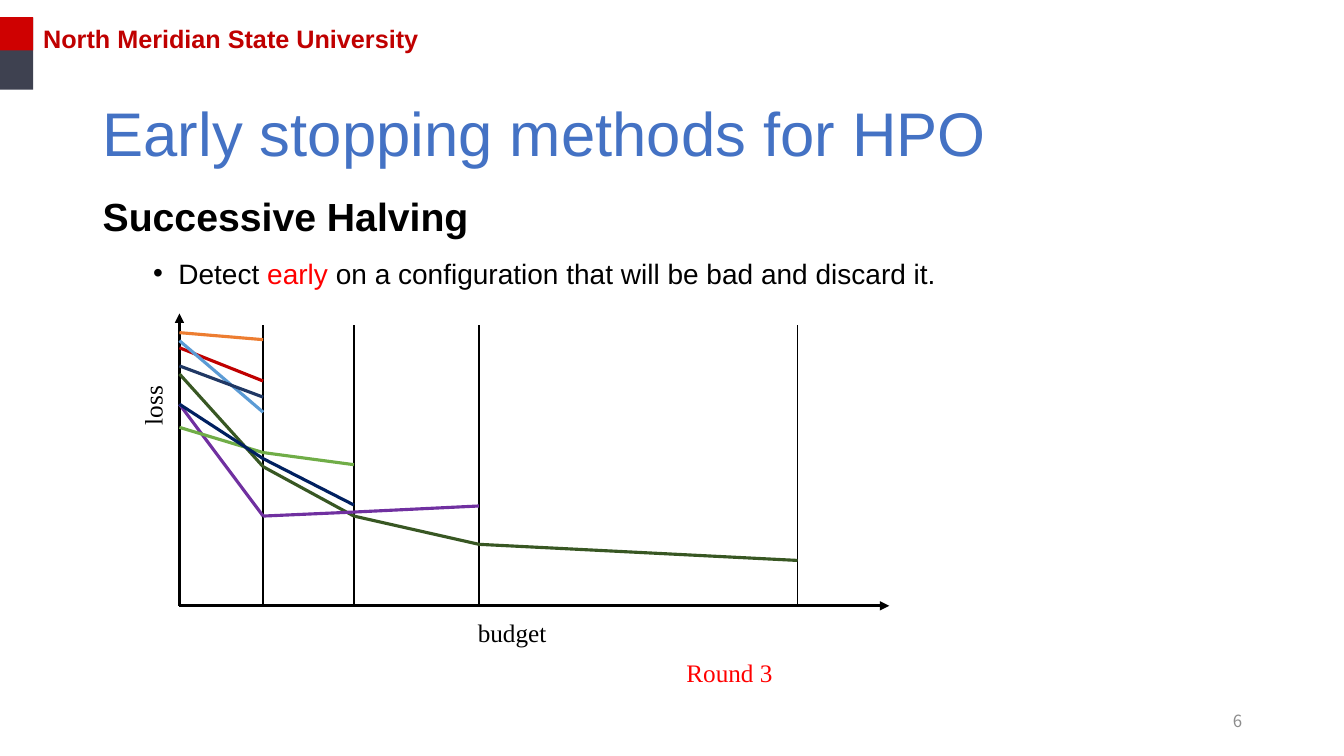
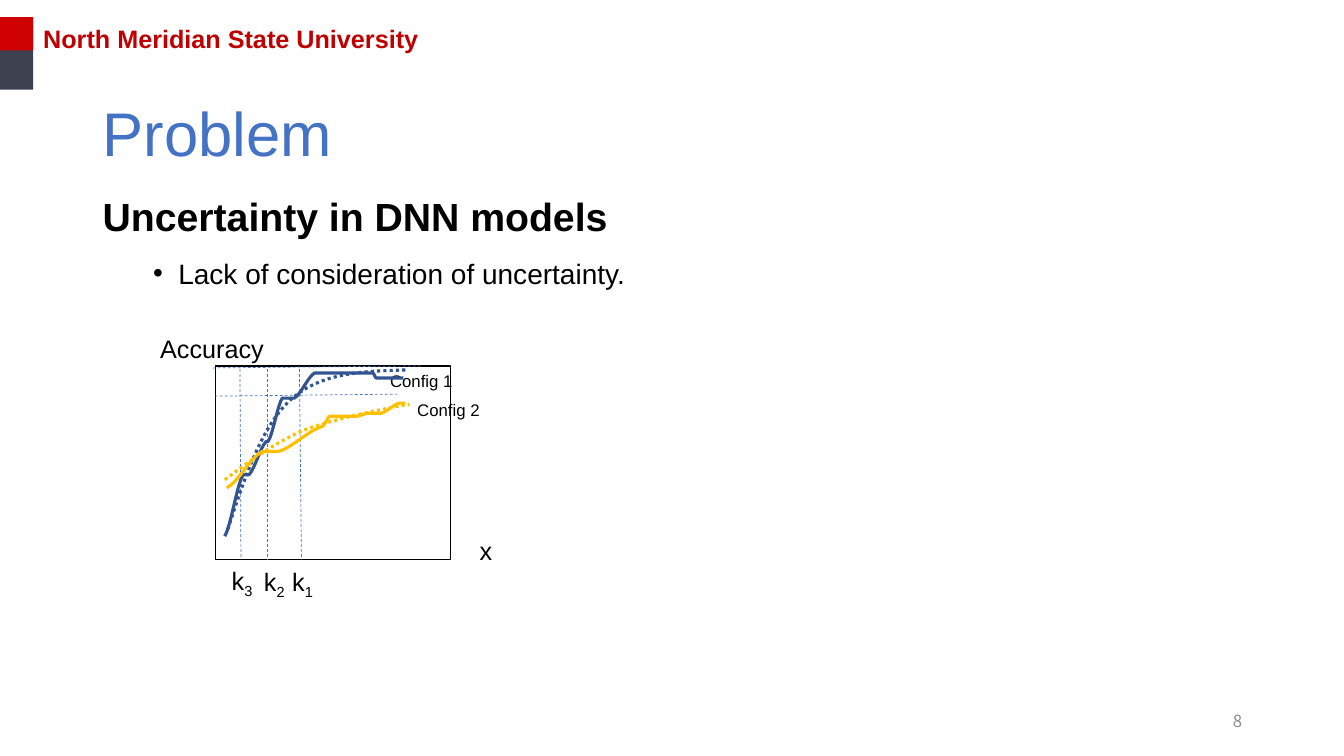
from dataclasses import dataclass, field
from itertools import pairwise
from typing import NamedTuple

from lxml.etree import SubElement
from pptx import Presentation
from pptx.chart.data import CategoryChartData
from pptx.dml.color import RGBColor
from pptx.enum.chart import XL_CHART_TYPE
from pptx.enum.dml import MSO_LINE
from pptx.enum.shapes import MSO_CONNECTOR, MSO_SHAPE
from pptx.enum.text import MSO_ANCHOR, MSO_AUTO_SIZE, PP_ALIGN
from pptx.oxml.ns import qn
from pptx.slide import Slide
from pptx.util import Inches, Pt

Point = tuple[float, float]
Frame = tuple[float, float, float, float]

COLORS = {
    "title": "4472C4", "black": "000000", "white": "FFFFFF", "number": "8C8C8C",
    "slate": "3E4150", "band": "CF0101", "header": "C00000", "alert": "FF0000",
    "forest": "385723", "purple": "7030A0", "green": "70AD47", "navy": "002060",
    "orange": "ED7D31", "crimson": "C00000", "sky": "5B9BD5", "midnight": "203864",
    "guide": "4472C4", "config1": "325491", "config2": "FFC000",
}
TITLE = {"name": "Arial", "size": Pt(44)}
HEADING = {"name": "Arial", "size": Pt(28), "bold": True}
BULLET = {"name": "Arial", "size": Pt(20), "bold": False}
HEADER = {"name": "Arial", "size": Pt(18), "bold": True}
LABEL = {"name": "Arial", "size": Pt(18)}
SMALL = {"name": "Arial", "size": Pt(12)}
SERIF = {"name": "Times New Roman", "size": Pt(18)}
NUMBER = {"name": "Noto Sans CJK SC", "size": Pt(12)}
CURVE_WIDTH = 2.25


@dataclass
class Span:
    text: str
    font: dict
    color: str = "black"
    subscript: bool = False


@dataclass
class Para:
    spans: list[Span]
    layout: dict = field(default_factory=dict)
    bulleted: bool = False


class Trajectory(NamedTuple):
    color: str
    losses: list[float]


class Plateau(NamedTuple):
    start: float
    end: float
    height: float


class Config(NamedTuple):
    name: str
    color: str
    label_corner: Point
    fit_knots: list[Point]
    plateaus: list[Plateau]


class Checkpoint(NamedTuple):
    digit: str
    top: float
    bottom: float
    label_corner: Point


ORIGIN = (1.78, 6.01)
LOSS_AXIS_END = (1.78, 3.11)
BUDGET_AXIS_END = (8.82, 6.01)
ROUND_TOP = 3.22
ROUND_BUDGETS = [2.61, 3.51, 4.75, 7.91]
TRAJECTORIES = [
    Trajectory("forest", [3.71, 4.63, 5.12, 5.4, 5.56]),
    Trajectory("purple", [4.01, 5.12, 5.08, 5.02]),
    Trajectory("green", [4.24, 4.49, 4.61]),
    Trajectory("navy", [4.01, 4.55, 5.01]),
    Trajectory("orange", [3.3, 3.37]),
    Trajectory("crimson", [3.45, 3.78]),
    Trajectory("sky", [3.38, 4.09]),
    Trajectory("midnight", [3.63, 3.94]),
]

GUIDE_TOP, GUIDE_BOTTOM = 3.66, 5.55
ACCURACY_LEVELS = [((2.13, 3.93), (3.95, 3.91)), ((2.11, 3.65), (4.19, 3.63))]
CHECKPOINTS = [
    Checkpoint("1", 2.97, 2.99, (2.8, 5.57)),
    Checkpoint("2", 2.65, 2.65, (2.52, 5.57)),
    Checkpoint("3", 2.38, 2.39, (2.2, 5.56)),
]
CONFIGS = [
    Config("Config 1", "config1", (3.77, 3.63),
           [(2.26, 5.25), (2.43, 4.73), (2.6, 4.21), (2.9, 3.95),
            (3.2, 3.69), (3.63, 3.68), (4.05, 3.67)],
           [Plateau(2.23, 2.23, 5.32), Plateau(2.41, 2.47, 4.71), Plateau(2.64, 2.66, 4.38),
            Plateau(2.8, 2.92, 3.95), Plateau(3.12, 3.7, 3.7), Plateau(3.73, 4, 3.75)]),
    Config("Config 2", "config2", (4.04, 3.92),
           [(2.23, 4.76), (2.47, 4.58), (2.71, 4.4), (3.01, 4.27),
            (3.32, 4.15), (3.84, 4.05), (4.06, 4.01)],
           [Plateau(2.25, 2.25, 4.84), Plateau(2.6, 2.76, 4.48), Plateau(3.2, 3.2, 4.23),
            Plateau(3.27, 3.54, 4.13), Plateau(3.65, 3.78, 4.1), Plateau(3.96, 4.02, 4)]),
]


def rgb(color: str) -> RGBColor:
    return RGBColor.from_string(COLORS[color])


def fitted_points(knots: list[Point], steps: int = 20) -> list[Point]:
    points = [knots[0]]
    for first in range(0, len(knots) - 1, 3):
        controls = knots[first:first + 4]
        for step in range(1, steps + 1):
            t = step / steps
            u = 1 - t
            weights = (u**3, 3 * u * u * t, 3 * u * t * t, t**3)
            x, y = (sum(w * p for w, p in zip(weights, axis)) for axis in zip(*controls))
            points.append((x, y))
    return points


def measured_points(plateaus: list[Plateau], steps: int = 8) -> list[Point]:
    points = [(plateaus[0].start, plateaus[0].height)]
    for low, high in pairwise(plateaus):
        for step in range(steps + 1):
            t = step / steps
            eased = (t + t * t * (3 - 2 * t)) / 2
            points.append((low.end + (high.start - low.end) * t,
                           low.height + (high.height - low.height) * eased))
    return points + [(plateaus[-1].end, plateaus[-1].height)]


def add_text(page: Slide, frame: Frame, paras: list[Para], wrap: bool = True,
             grow: bool = False, middle: bool = False, rotation: float = 0) -> None:
    box = page.shapes.add_textbox(*map(Inches, frame))
    box.rotation = rotation
    text_format = {
        "word_wrap": wrap,
        "auto_size": MSO_AUTO_SIZE.SHAPE_TO_FIT_TEXT if grow else MSO_AUTO_SIZE.NONE,
        "vertical_anchor": MSO_ANCHOR.MIDDLE if middle else MSO_ANCHOR.TOP,
    }
    for name, value in text_format.items():
        setattr(box.text_frame, name, value)
    for index, item in enumerate(paras):
        para = box.text_frame.add_paragraph() if index else box.text_frame.paragraphs[0]
        for name, value in item.layout.items():
            setattr(para, name, value)
        if item.bulleted:
            properties = para._p.get_or_add_pPr()
            properties.set("marL", str(Inches(0.75)))
            properties.set("indent", str(Inches(-0.25)))
            SubElement(properties, qn("a:buFont"), typeface="Arial")
            SubElement(properties, qn("a:buChar"), char="•")
        for span in item.spans:
            run = para.add_run()
            run.text = span.text
            for name, value in span.font.items():
                setattr(run.font, name, value)
            run.font.color.rgb = rgb(span.color)
            if span.subscript:
                run._r.get_or_add_rPr().set("baseline", "-25000")


def add_label(page: Slide, frame: Frame, *spans: Span, rotation: float = 0) -> None:
    add_text(page, frame, [Para(list(spans))], wrap=False, grow=True, rotation=rotation)


def add_line(page: Slide, start: Point, end: Point, color: str, width: float,
             dashed: bool = False, arrow: bool = False) -> None:
    connector = page.shapes.add_connector(
        MSO_CONNECTOR.STRAIGHT, *map(Inches, (*start, *end)))
    connector.line.color.rgb = rgb(color)
    connector.line.width = Pt(width)
    if dashed:
        connector.line.dash_style = MSO_LINE.DASH
    properties = connector.element.spPr
    if arrow:
        SubElement(properties.find(qn("a:ln")), qn("a:tailEnd"), type="triangle")
    SubElement(properties, qn("a:effectLst"))


def add_curve(page: Slide, points: list[Point], color: str, dotted: bool = False) -> None:
    start, *rest = [(Inches(x), Inches(y)) for x, y in points]
    builder = page.shapes.build_freeform(*start)
    builder.add_line_segments(rest, close=False)
    shape = builder.convert_to_shape()
    shape.shadow.inherit = False
    shape.fill.background()
    shape.line.color.rgb = rgb(color)
    shape.line.width = Pt(CURVE_WIDTH)
    if dotted:
        shape.line.dash_style = MSO_LINE.ROUND_DOT


def add_band(page: Slide, frame: Frame, color: str) -> None:
    band = page.shapes.add_shape(MSO_SHAPE.RECTANGLE, *map(Inches, frame))
    band.shadow.inherit = False
    band.fill.solid()
    band.fill.fore_color.rgb = rgb(color)
    band.line.fill.background()


def add_page(deck: Presentation, title: str, heading: str,
             bullet: list[Span], number: str) -> Slide:
    page = deck.slides.add_slide(deck.slide_layouts[6])
    add_text(page, (0.92, 0.63, 11.5, 1.45),
             [Para([Span(title, TITLE, "title")], {"line_spacing": 0.9})], middle=True)
    add_text(page, (0.92, 1.63, 9.41, 4.76), [
        Para([Span(heading, HEADING)], {"line_spacing": 1.5, "space_before": Pt(10)}),
        Para(bullet, {"level": 1, "line_spacing": Pt(30.8), "space_before": Pt(5)}, True),
    ])
    add_text(page, (9.42, 6.95, 3, 0.4),
             [Para([Span(number, NUMBER, "number")], {"alignment": PP_ALIGN.RIGHT})], middle=True)
    add_band(page, (0, 0.18, 0.33, 0.71), "slate")
    add_band(page, (0, 0.17, 0.33, 0.33), "band")
    add_text(page, (0.33, 0.18, 4.67, 0.4),
             [Para([Span("North Meridian State University", HEADER, "header")])], grow=True)
    return page


def add_outline(parent, width: float, color: str):
    properties = SubElement(parent, qn("c:spPr"))
    SubElement(properties, qn("a:noFill"))
    line = SubElement(properties, qn("a:ln"), w=str(Pt(width)))
    SubElement(SubElement(line, qn("a:solidFill")), qn("a:srgbClr"), val=COLORS[color])
    return properties


def add_accuracy_chart(page: Slide) -> None:
    data = CategoryChartData()
    data.categories = [str(step) for step in range(1, 9)]
    data.add_series("Series 1", [None] * 7 + [100])
    chart = page.shapes.add_chart(
        XL_CHART_TYPE.LINE, *map(Inches, (1.93, 3.62, 2.55, 2.19)), data).chart
    chart.has_legend = chart.has_title = False
    chart.font.name = "Noto Sans CJK SC"
    chart.font.size = Pt(10)
    chart.font.color.rgb = rgb("black")
    for axis in (chart.category_axis, chart.value_axis):
        axis.has_major_gridlines = False
        axis.visible = False
    plot = chart.plots[0]
    plot.vary_by_categories = False
    series = plot.series[0]
    series.smooth = False
    series.format.line.color.rgb = rgb("config2")
    series.format.line.width = Pt(CURVE_WIDTH)
    root = chart.element
    area = root.find(".//" + qn("c:plotArea"))
    for layout in area.findall(qn("c:layout")):
        area.remove(layout)
    layout = area.makeelement(qn("c:layout"))
    area.insert(0, layout)
    manual = SubElement(layout, qn("c:manualLayout"))
    placement = {"layoutTarget": "inner", "xMode": "edge", "yMode": "edge",
                 "x": "0.077", "y": "0", "w": "0.923", "h": "0.886"}
    for name, value in placement.items():
        SubElement(manual, qn(f"c:{name}"), val=value)
    add_outline(area, 1, "black")
    root.find(qn("c:txPr")).addprevious(add_outline(root, 1.5, "white"))


def build_halving(deck: Presentation) -> None:
    page = add_page(deck, "Early stopping methods for HPO", "Successive Halving", [
        Span("Detect ", BULLET), Span("early", BULLET, "alert"),
        Span(" on a configuration that will be bad and discard it.", BULLET)], "6")
    for axis_end in (LOSS_AXIS_END, BUDGET_AXIS_END):
        add_line(page, ORIGIN, axis_end, "black", CURVE_WIDTH, arrow=True)
    add_label(page, (1.21, 3.81, 0.61, 0.4), Span("loss", SERIF), rotation=270)
    add_label(page, (4.64, 6.08, 0.89, 0.4), Span("budget", SERIF))
    for budget in ROUND_BUDGETS:
        add_line(page, (budget, ORIGIN[1]), (budget, ROUND_TOP), "black", 1)
    for trajectory in TRAJECTORIES:
        for start, end in pairwise(zip([ORIGIN[0], *ROUND_BUDGETS], trajectory.losses)):
            add_line(page, start, end, trajectory.color, CURVE_WIDTH)
    add_text(page, (6.71, 6.47, 1.2, 0.4),
             [Para([Span("Round 3", SERIF, "alert")])], grow=True)


def build_problem(deck: Presentation) -> None:
    page = add_page(deck, "Problem", "Uncertainty in DNN models",
                    [Span("Lack of consideration of uncertainty.", BULLET)], "8")
    add_accuracy_chart(page)
    add_label(page, (1.49, 3.26, 1.26, 0.4), Span("Accuracy", LABEL))
    add_label(page, (4.66, 5.26, 0.33, 0.4), Span("x", LABEL))
    for start, end in ACCURACY_LEVELS:
        add_line(page, start, end, "guide", 0.5, dashed=True)
    for mark in CHECKPOINTS:
        add_line(page, (mark.top, GUIDE_TOP), (mark.bottom, GUIDE_BOTTOM),
                 "guide", 0.5, dashed=True)
        add_label(page, (*mark.label_corner, 0.43, 0.4),
                  Span("k", LABEL), Span(mark.digit, LABEL, subscript=True))
    for config in CONFIGS:
        add_curve(page, fitted_points(config.fit_knots), config.color, dotted=True)
        add_label(page, (*config.label_corner, 0.83, 0.3), Span(config.name, SMALL))
    for config in CONFIGS:
        add_curve(page, measured_points(config.plateaus), config.color)


def main() -> None:
    deck = Presentation()
    deck.slide_width, deck.slide_height = Inches(13.33), Inches(7.5)
    build_halving(deck)
    build_problem(deck)
    deck.save("out.pptx")


if __name__ == "__main__":
    main()
